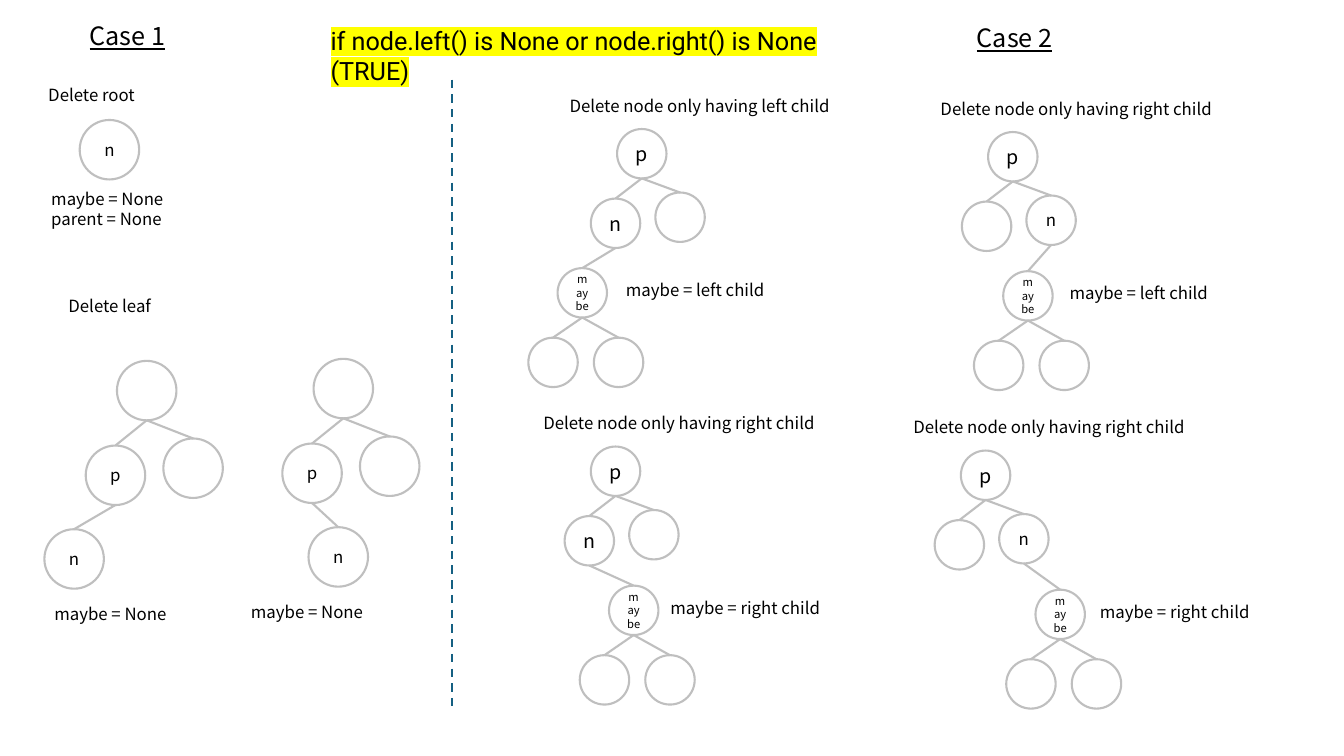
from dataclasses import dataclass

from lxml.etree import SubElement
from pptx import Presentation
from pptx.dml.color import RGBColor
from pptx.enum.dml import MSO_LINE
from pptx.enum.shapes import MSO_CONNECTOR, MSO_SHAPE
from pptx.enum.text import MSO_ANCHOR, MSO_AUTO_SIZE, PP_ALIGN
from pptx.oxml import parse_xml
from pptx.oxml.ns import nsdecls, qn
from pptx.util import Inches, Pt


@dataclass(frozen=True)
class Theme:
    ink: RGBColor = RGBColor(0x00, 0x00, 0x00)
    outline: RGBColor = RGBColor(0xBF, 0xBF, 0xBF)
    divider: RGBColor = RGBColor(0x15, 0x60, 0x82)
    highlight: str = "FFFF00"
    font: str = "Noto Sans CJK TC"
    code_font: str = "Roboto"
    heading: int = 18
    node: int = 14
    body: int = 12
    tiny: int = 8
    stroke: float = 1.5


THEME = Theme()
ROOT_HEIGHT = 1.0


def style_runs(tf, size, font=THEME.font):
    for p in tf.paragraphs:
        for r in p.runs:
            r.font.size = Pt(size)
            r.font.name = font
            r.font.color.rgb = THEME.ink


def add_label(shapes, text, left, top, width, height=0.3, size=THEME.body,
              font=THEME.font, wrap=False):
    sp = shapes.add_textbox(Inches(left), Inches(top), Inches(width), Inches(height))
    tf = sp.text_frame
    tf.text = text
    tf.word_wrap = wrap
    tf.auto_size = MSO_AUTO_SIZE.SHAPE_TO_FIT_TEXT
    style_runs(tf, size, font)
    return sp


def add_heading(shapes, text, left, top):
    sp = add_label(shapes, text, left, top, 0.98, 0.4, THEME.heading)
    sp.text_frame.paragraphs[0].runs[0].font.underline = True


def add_condition(shapes, left, top):
    sp = add_label(shapes, "if node.left() is None or node.right() is None (TRUE)",
                   left, top, 5.61, 0.4, THEME.heading, THEME.code_font, wrap=True)
    r = sp.text_frame.paragraphs[0].runs[0]
    fill = r.font._element.find(qn("a:solidFill"))
    fill.addnext(parse_xml(
        f'<a:highlight {nsdecls("a")}><a:srgbClr val="{THEME.highlight}"/></a:highlight>'))


def add_node(shapes, left, top, size, text="", text_size=THEME.body):
    sp = shapes.add_shape(MSO_SHAPE.OVAL, Inches(left), Inches(top),
                          Inches(size), Inches(size))
    sp.shadow.inherit = False
    sp.fill.background()
    sp.line.color.rgb = THEME.outline
    sp.line.width = Pt(THEME.stroke)
    if text:
        tf = sp.text_frame
        tf.text = text
        tf.vertical_anchor = MSO_ANCHOR.MIDDLE
        tf.paragraphs[0].alignment = PP_ALIGN.CENTER
        style_runs(tf, text_size)
    return sp


def add_line(shapes, x1, y1, x2, y2, color):
    line = shapes.add_connector(MSO_CONNECTOR.STRAIGHT, x1, y1, x2, y2)
    line.line.color.rgb = color
    line.line.width = Pt(THEME.stroke)
    SubElement(line._element.spPr, qn("a:effectLst"))
    return line


def link(shapes, parent, child):
    line = add_line(shapes, parent.left + parent.width // 2, parent.top + parent.height,
                    child.left + child.width // 2, child.top, THEME.outline)
    line.end_connect(child, 0)


def add_leaf_tree(slide, left, top, leaf_dx):
    shapes = slide.shapes.add_group_shape().shapes
    size = 0.59
    root = add_node(shapes, left, top, size)
    parent = add_node(shapes, left - 0.31, top + 0.84, size, "p")
    sibling = add_node(shapes, left + 0.46, top + 0.77, size)
    leaf = add_node(shapes, left + leaf_dx, top + 1.67, size, "n")
    for upper, lower in ((root, parent), (root, sibling), (parent, leaf)):
        link(shapes, upper, lower)
    add_label(shapes, "maybe = None", left - 0.72, top + 2.36, 1.39)


def add_child_tree(slide, left, top, title, title_width, node_side, child_side,
                   maybe_dx, label_dx):
    shapes = slide.shapes.add_group_shape().shapes
    size = 0.49
    node_size = THEME.node if node_side == "left" else THEME.body
    parent = add_node(shapes, left, top, size, "p", THEME.node)
    branches = {
        side: add_node(shapes, left + dx, top + dy, size,
                       "n" if side == node_side else "", node_size)
        for side, dx, dy in (("left", -0.26, 0.69), ("right", 0.38, 0.63))
    }
    maybe = add_node(shapes, left + maybe_dx, top + 1.38, size, "maybe", THEME.tiny)
    for branch in branches.values():
        link(shapes, parent, branch)
    link(shapes, branches[node_side], maybe)
    for dx in (-0.29, 0.36):
        child = add_node(shapes, left + maybe_dx + dx, top + 2.07, size)
        link(shapes, maybe, child)
    add_label(shapes, title, left - 0.57, top - 0.38, title_width)
    add_label(shapes, f"maybe = {child_side} child", left + label_dx, top + 1.45,
              1.63 if child_side == "left" else 1.75)


def add_root_case(slide, left, top):
    shapes = slide.shapes
    add_label(shapes, "Delete root", left, top, 1.09)
    add_node(shapes, left + 0.41, top + 0.4, 0.59, "n")
    add_label(shapes, "maybe = None\nparent = None", left + 0.03, top + 1.03, 1.39, 0.5)


def add_divider(slide, left, top, height):
    line = add_line(slide.shapes, Inches(left), Inches(top), Inches(left),
                    Inches(top + height), THEME.divider)
    line.line.dash_style = MSO_LINE.DASH


def main():
    prs = Presentation()
    prs.slide_width = Inches(13.33)
    prs.slide_height = Inches(7.5)
    s = prs.slides.add_slide(prs.slide_layouts[6])

    add_heading(s.shapes, "Case 1", 0.79, 0.15)
    add_heading(s.shapes, "Case 2", 9.59, 0.17)
    add_root_case(s, 0.38, 0.79)
    add_label(s.shapes, "Delete leaf", 0.58, 2.88, 1.05)
    add_leaf_tree(s, 1.16, 3.58, -0.72)
    add_leaf_tree(s, 3.11, 3.56, -0.05)

    left_title = ("Delete node only having left child", 2.85)
    right_title = ("Delete node only having right child", 2.97)
    for left, top, title, node_side, child_side, maybe_dx, label_dx in (
        (6.12, 1.28, left_title, "left", "left", -0.59, -0.01),
        (9.8, 1.31, right_title, "right", "left", 0.15, 0.71),
        (5.86, 4.43, right_title, "left", "right", 0.18, 0.69),
        (9.53, 4.47, right_title, "right", "right", 0.74, 1.28),
    ):
        add_child_tree(s, left, top, *title, node_side, child_side, maybe_dx, label_dx)

    add_condition(s.shapes, 3.18, 0.2)
    add_divider(s, 4.48, 0.79, 6.23)
    prs.save("out.pptx")


if __name__ == "__main__":
    main()
